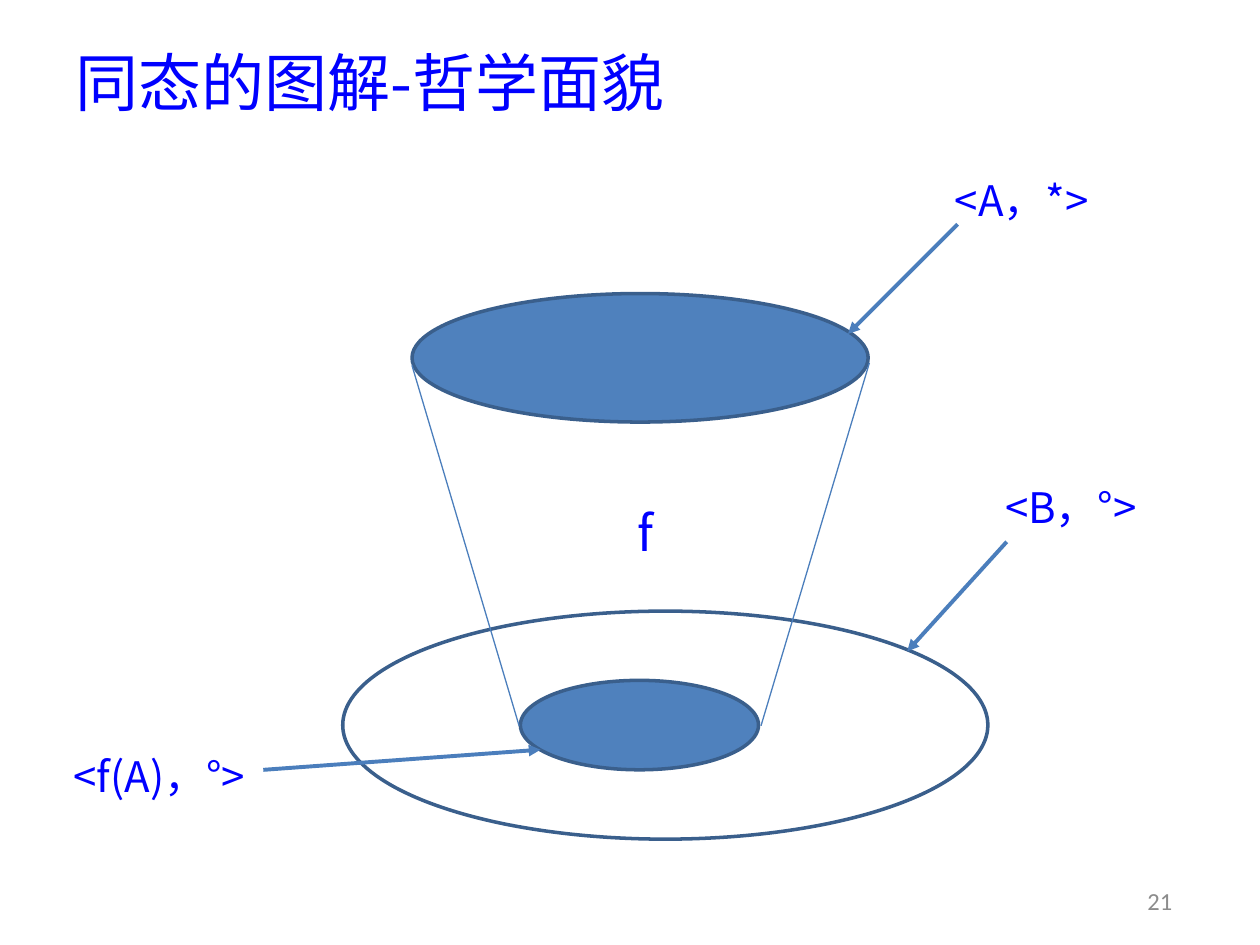
from lxml.etree import SubElement
from pptx import Presentation
from pptx.dml.color import RGBColor
from pptx.enum.shapes import MSO_CONNECTOR as Connector, MSO_SHAPE as Shape
from pptx.enum.text import MSO_ANCHOR as Anchor, PP_ALIGN as Align
from pptx.oxml.ns import qn
from pptx.util import Inches, Pt

COLORS = {
    "text": "0000FF",
    "fill": "4F81BD",
    "outline": "3A5F8C",
    "line": "4B7EBC",
    "number": "8C8C8C",
}
CJK_FONT = "Noto Sans CJK SC"
COLUMNS, ROWS = 100, 75


def color(name):
    return RGBColor.from_string(COLORS[name])


class Diagram:
    """Draws on one slide; lengths are columns and rows of the grid."""

    def __init__(self, presentation):
        self.slide = presentation.slides.add_slide(presentation.slide_layouts[5])
        self.column = presentation.slide_width / COLUMNS
        self.row = presentation.slide_height / ROWS

    def lengths(self, *values):
        """Turn alternating columns and rows into slide lengths."""
        units = (self.column, self.row)
        return [round(value * units[i % 2]) for i, value in enumerate(values)]

    def set_text(self, shape, text, size, align=Align.CENTER, ink="text", font=CJK_FONT):
        frame = shape.text_frame
        frame.word_wrap = True
        frame.vertical_anchor = Anchor.MIDDLE
        paragraph = frame.paragraphs[0]
        paragraph.alignment = align
        run = paragraph.add_run()
        run.text = text
        for name, value in {"size": Pt(size), "name": font}.items():
            setattr(run.font, name, value)
        run.font.color.rgb = color(ink)
        SubElement(run._r.get_or_add_rPr(), qn("a:ea"), typeface=font)

    def title(self, text, box):
        shape = self.slide.shapes.title
        for name, value in zip(("left", "top", "width", "height"), self.lengths(*box)):
            setattr(shape, name, value)
        self.set_text(shape, text, 36, Align.LEFT)

    def label(self, text, box, size=24, **style):
        shape = self.slide.shapes.add_textbox(*self.lengths(*box))
        self.set_text(shape, text, size, **style)

    def ellipse(self, box, filled=True):
        shape = self.slide.shapes.add_shape(Shape.OVAL, *self.lengths(*box))
        shape.shadow.inherit = False
        if filled:
            shape.fill.solid()
            shape.fill.fore_color.rgb = color("fill")
        else:
            shape.fill.background()
        shape.line.color.rgb = color("outline")
        shape.line.width = Pt(2)

    def line(self, start, end, width=0.75, arrow=False):
        connector = self.slide.shapes.add_connector(
            Connector.STRAIGHT, *self.lengths(*start, *end))
        connector.line.color.rgb = color("line")
        connector.line.width = Pt(width)
        properties = connector._element.spPr
        if arrow:
            SubElement(properties.find(qn("a:ln")), qn("a:tailEnd"), type="triangle")
        SubElement(properties, qn("a:effectLst"))


def main():
    presentation = Presentation()
    presentation.slide_width = Inches(10)
    presentation.slide_height = Inches(7.5)
    diagram = Diagram(presentation)

    diagram.title("同态的图解-哲学面貌", (5, 2.2, 90, 8.5))

    diagram.ellipse((32.7, 23.3, 36.2, 10.2))
    diagram.ellipse((27.2, 48.5, 51.2, 18.1), filled=False)
    diagram.ellipse((41.3, 54, 18.9, 7.1))

    diagram.line((32.7, 29), (41.2, 57.6))
    diagram.line((69, 28.8), (60.4, 57.6))

    callouts = [
        ("<f(A)，°>", (2, 58.8, 21.3, 5.5), (20.9, 61.1), (42.9, 59.5)),
        ("<A，*>", (68.1, 13.1, 26, 5.5), (76, 17.8), (67.3, 26.5)),
        ("<B，°>", (72, 37.5, 26, 5.5), (79.9, 43), (72, 51.7)),
    ]
    for text, box, start, end in callouts:
        diagram.label(text, box)
        diagram.line(start, end, width=2.25, arrow=True)

    diagram.label("f", (44.5, 39.9, 13.4, 4.7), size=28)
    diagram.label("21", (89.1, 69.5, 5.9, 4), size=14, ink="number", font="Calibri")

    presentation.save("out.pptx")


if __name__ == "__main__":
    main()
